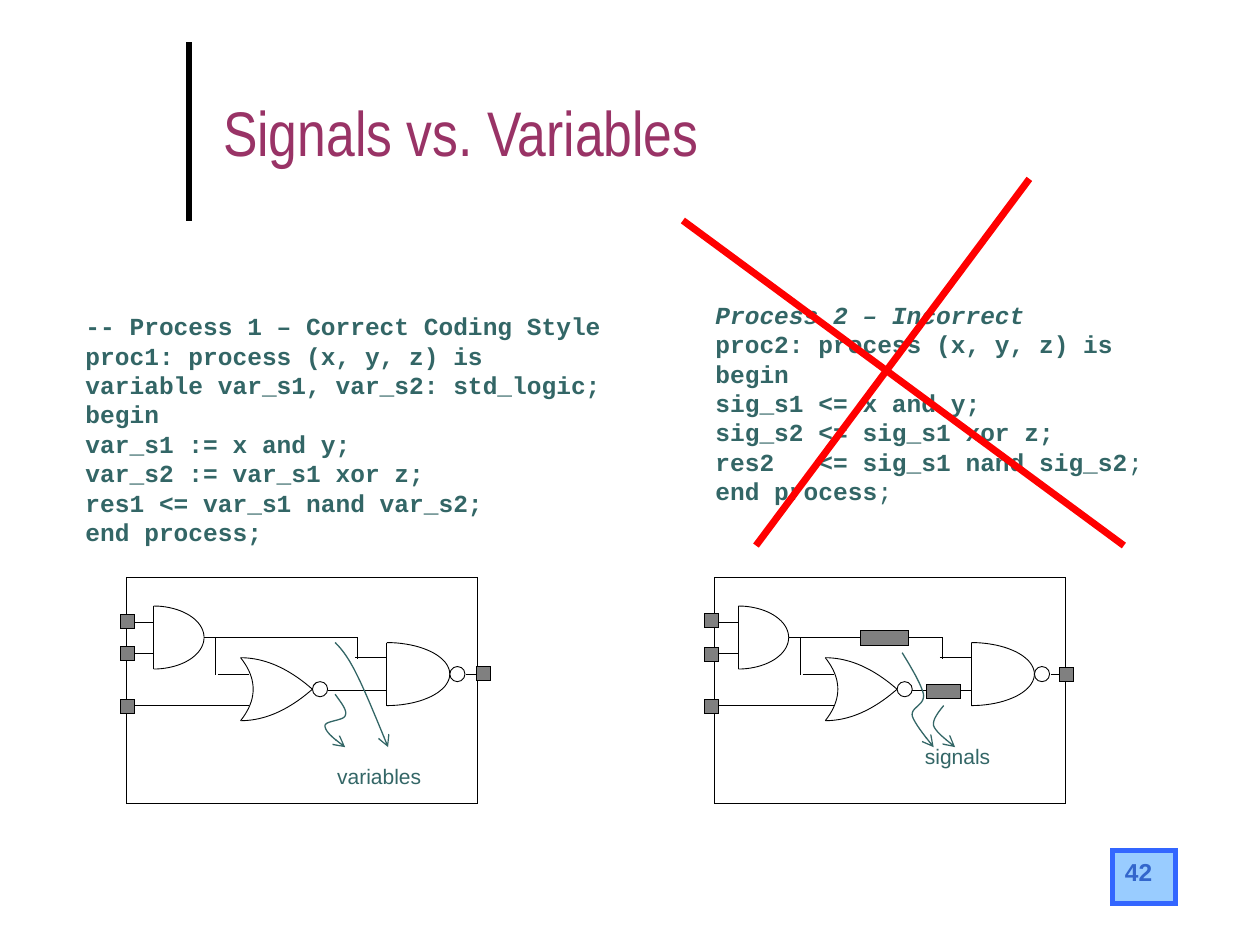
from math import cos, pi, sin

from lxml.etree import SubElement
from pptx import Presentation
from pptx.dml.color import RGBColor
from pptx.enum.shapes import MSO_CONNECTOR as Connector
from pptx.enum.shapes import MSO_SHAPE as Shape
from pptx.enum.text import MSO_ANCHOR as Anchor
from pptx.enum.text import MSO_AUTO_SIZE as AutoSize
from pptx.enum.text import PP_ALIGN as Align
from pptx.oxml.ns import qn
from pptx.util import Inches, Pt

BLACK, WHITE, GREY = "000000", "FFFFFF", "808080"
TEAL, PLUM, RED = "336666", "993366", "FF0000"
THIN = 0.5
STEPS = 20


def color(value):
    return RGBColor.from_string(value)


def bezier(points):
    """Sample a chain of cubic curves: a start, then three points per curve."""
    samples = [points[0]]
    for first in range(0, len(points) - 1, 3):
        for step in range(1, STEPS + 1):
            t = step / STEPS
            weights = ((1 - t) ** 3, 3 * t * (1 - t) ** 2, 3 * t * t * (1 - t), t ** 3)
            curve = list(zip(weights, points[first:first + 4]))
            samples.append(tuple(sum(w * p[axis] for w, p in curve) for axis in (0, 1)))
    return samples


class SlideBuilder:
    def __init__(self, slide):
        self.slide = slide
        self.shapes = slide.shapes

    def outline(self, shape, line, width, fill=None):
        shape.shadow.inherit = False
        if fill:
            shape.fill.solid()
            shape.fill.fore_color.rgb = color(fill)
        else:
            shape.fill.background()
        shape.line.color.rgb = color(line)
        shape.line.width = Pt(width)
        SubElement(shape.line._get_or_add_ln(), qn("a:miter"), lim="800000")
        return shape

    def box(self, left, top, width, height, fill=None, line=BLACK, weight=THIN, kind=Shape.RECTANGLE):
        shape = self.shapes.add_shape(kind, *map(Inches, (left, top, width, height)))
        return self.outline(shape, line, weight, fill)

    def line(self, x1, y1, x2, y2, line=BLACK, weight=THIN):
        connector = self.shapes.add_connector(Connector.STRAIGHT, *map(Inches, (x1, y1, x2, y2)))
        connector.line.color.rgb = color(line)
        connector.line.width = Pt(weight)
        SubElement(connector._element.spPr, qn("a:effectLst"))

    def path_through(self, points, line=BLACK, weight=THIN):
        emu = [(Inches(x), Inches(y)) for x, y in points]
        builder = self.shapes.build_freeform(*emu[0])
        builder.add_line_segments(emu[1:], close=False)
        return self.outline(builder.convert_to_shape(), line, weight)

    def arrow(self, points):
        shape = self.path_through(bezier(points), TEAL, 0.75)
        SubElement(shape.line._get_or_add_ln(), qn("a:tailEnd"), type="arrow")

    def run(self, paragraph, text, style):
        run = paragraph.add_run()
        run.text = text
        for name, value in style.items():
            if name == "color":
                run.font.color.rgb = color(value)
            else:
                setattr(run.font, name, value)

    def title(self, text, left, top, width, height, style):
        title = self.shapes.title
        for name, value in dict(left=left, top=top, width=width, height=height).items():
            setattr(title, name, Inches(value))
        title.text_frame.vertical_anchor = Anchor.MIDDLE
        paragraph = title.text_frame.paragraphs[0]
        paragraph.alignment = Align.LEFT
        self.run(paragraph, text, style)

    def code(self, left, top, width, height, lines, style):
        """Each line is a list of (text, style changes) runs."""
        frame = self.shapes.add_textbox(*map(Inches, (left, top, width, height))).text_frame
        frame.word_wrap = True
        for number, runs in enumerate(lines):
            paragraph = frame.add_paragraph() if number else frame.paragraphs[0]
            paragraph.line_spacing = Pt(16.8)
            for text, changes in runs:
                self.run(paragraph, text, {**style, **changes})

    def label(self, text, left, top, width, height, style):
        frame = self.shapes.add_textbox(*map(Inches, (left, top, width, height))).text_frame
        fit = dict(word_wrap=False, auto_size=AutoSize.SHAPE_TO_FIT_TEXT,
                   margin_left=Inches(0.03), margin_right=Inches(0.03))
        for name, value in fit.items():
            setattr(frame, name, value)
        frame.paragraphs[0].alignment = Align.CENTER
        self.run(frame.paragraphs[0], text, style)

    def and_gate(self, x, middle, width, half):
        self.line(x, middle - half, x, middle + half)
        angles = [pi / 2 * step / STEPS for step in range(STEPS + 1)]
        for side in (-1, 1):
            self.path_through([(x + width * sin(a), middle + side * half * cos(a)) for a in angles])

    def or_gate(self, x, middle, width, half, bulge=0.1):
        steps = [step / STEPS for step in range(STEPS + 1)]
        self.path_through([(x + 4 * bulge * t * (1 - t), middle + half * (2 * t - 1)) for t in steps])
        for side in (-1, 1):
            self.path_through([(x + width * t, middle + side * half * (1 - t * t)) for t in steps])

    def bubble(self, x, middle):
        self.box(x, middle - 0.06, 0.12, 0.12, WHITE, kind=Shape.OVAL)

    def circuit(self, frame_left, x):
        """Draw the frame, then the gates and wires measured from x."""
        self.box(frame_left, 4.58, 2.79, 1.8)
        self.and_gate(x + 0.22, 5.06, 0.4, 0.25)
        self.or_gate(x + 0.91, 5.47, 0.57, 0.25)
        self.and_gate(x + 2.07, 5.35, 0.5, 0.25)
        wires = [(0.02, 0.22, 4.94), (0.02, 0.22, 5.19), (0.02, 0.88, 5.6),
                 (0.62, 1, 5.06), (0.73, 0.98, 5.35), (0.73, 0.98, 5.6),
                 (1.6, 2.07, 5.48), (1.82, 2.07, 5.22), (2.7, 2.82, 5.35)]
        for start, end, y in wires:
            self.line(x + start, y, x + end, y)
        self.path_through([(x + 0.8, 5.06), (x + 0.71, 5.06), (x + 0.71, 5.36)])
        self.path_through([(x + 0.92, 5.06), (x + 1.84, 5.06), (x + 1.84, 5.23)])
        self.bubble(x + 1.48, 5.47)
        self.bubble(x + 2.57, 5.35)

    def ports(self, places):
        for left, top in places:
            self.box(left, top, 0.11, 0.11, GREY)


def main():
    presentation = Presentation()
    presentation.slide_width, presentation.slide_height = Inches(10), Inches(7.5)
    builder = SlideBuilder(presentation.slides.add_slide(presentation.slide_layouts[5]))
    code_style = dict(name="Courier New", size=Pt(14), bold=True, italic=False, color=TEAL)
    label_style = dict(name="Arial", size=Pt(12), color=TEAL)

    # Title, rule and page number
    builder.line(1.5, 1.75, 1.5, 0.33, weight=3)
    builder.title("Signals vs. Variables", 1.67, 0.21, 7.67, 1.67,
                  dict(name="Arial Narrow", size=Pt(36), color=PLUM))
    number = builder.box(8.83, 6.75, 0.5, 0.42, "99CCFF", "3366FF", 3).text_frame
    number.vertical_anchor = Anchor.TOP
    number.paragraphs[0].alignment = Align.LEFT
    builder.run(number.paragraphs[0], "42",
                dict(name="Arial", size=Pt(14), bold=True, color="3366CC"))

    # Circuits, registers and ports
    builder.circuit(5.67, 5.64)
    builder.circuit(1, 1)
    builder.box(6.83, 5, 0.38, 0.12, GREY)
    builder.box(7.35, 5.43, 0.27, 0.11, GREY)
    builder.ports([(0.96, 4.88), (0.96, 5.13), (0.96, 5.55), (3.78, 5.29)])
    builder.ports([(5.59, 4.87), (5.59, 5.14), (5.59, 5.55), (8.41, 5.3)])

    # Code of both processes
    correct = ["-- Process 1 – Correct Coding Style", "proc1: process (x, y, z) is",
               "variable var_s1, var_s2: std_logic;", "begin", "var_s1 := x and y;",
               "var_s2 := var_s1 xor z;", "res1 <= var_s1 nand var_s2;", "end process;"]
    builder.code(0.58, 2.42, 4.55, 1.96, [[(text, {})] for text in correct], code_style)
    plain_end = (";", dict(bold=False))
    incorrect = [[("Process 2 – Incorrect", dict(italic=True))],
                 [("proc2: process (x, y, z) is", {})],
                 [("begin", {})],
                 [("sig_s1 <= x and y;", {})],
                 [("sig_s2 <= sig_s1 xor z;", {})],
                 [("res2   <= sig_s1 nand sig_s2", {}), plain_end],
                 [("end process", {}), plain_end]]
    builder.code(5.58, 2.33, 4.06, 1.73, incorrect, code_style)

    # Labels and their curved arrows
    builder.label("variables", 2.58, 6.01, 0.86, 0.3, label_style)
    builder.label("signals", 7.24, 5.85, 0.72, 0.3, label_style)
    arrows = [
        [(2.66, 5.1), (2.71, 5.15), (2.76, 5.21), (2.83, 5.35), (2.9, 5.49), (2.99, 5.71), (3.08, 5.93)],
        [(2.66, 5.51), (2.71, 5.58), (2.76, 5.64), (2.74, 5.68), (2.73, 5.72), (2.58, 5.72),
         (2.58, 5.76), (2.58, 5.81), (2.66, 5.87), (2.74, 5.93)],
        [(7.16, 5.18), (7.24, 5.31), (7.31, 5.43), (7.33, 5.51), (7.34, 5.6), (7.23, 5.61),
         (7.24, 5.68), (7.26, 5.75), (7.38, 5.89), (7.41, 5.93)],
        [(7.49, 5.6), (7.45, 5.65), (7.4, 5.71), (7.41, 5.76), (7.43, 5.82), (7.55, 5.9), (7.58, 5.93)],
    ]
    for points in arrows:
        builder.arrow(points)

    # Red cross over the incorrect process
    builder.line(5.42, 1.75, 8.92, 4.33, RED, 4)
    builder.line(6, 4.33, 8.17, 1.42, RED, 4)

    presentation.save("out.pptx")


if __name__ == "__main__":
    main()
